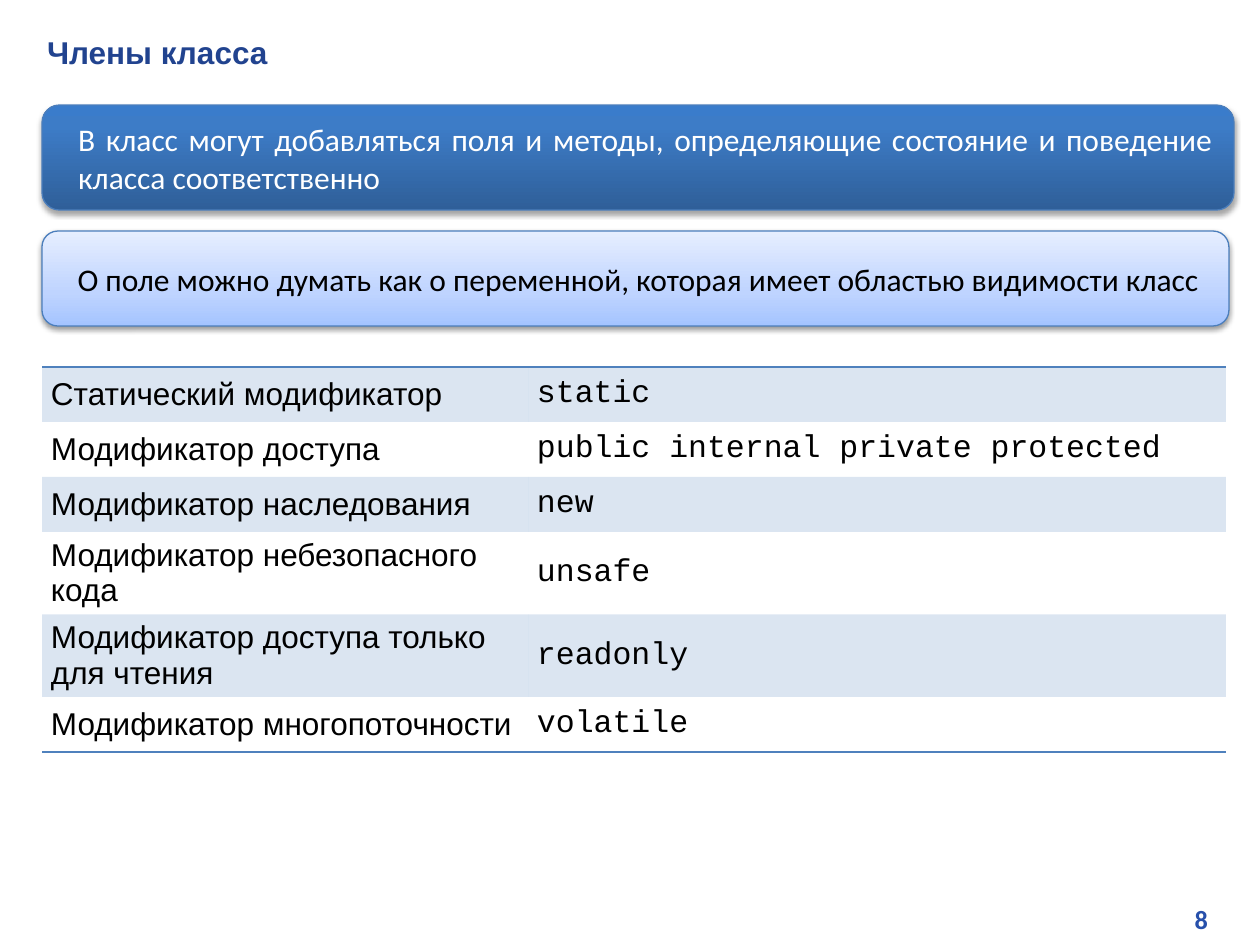
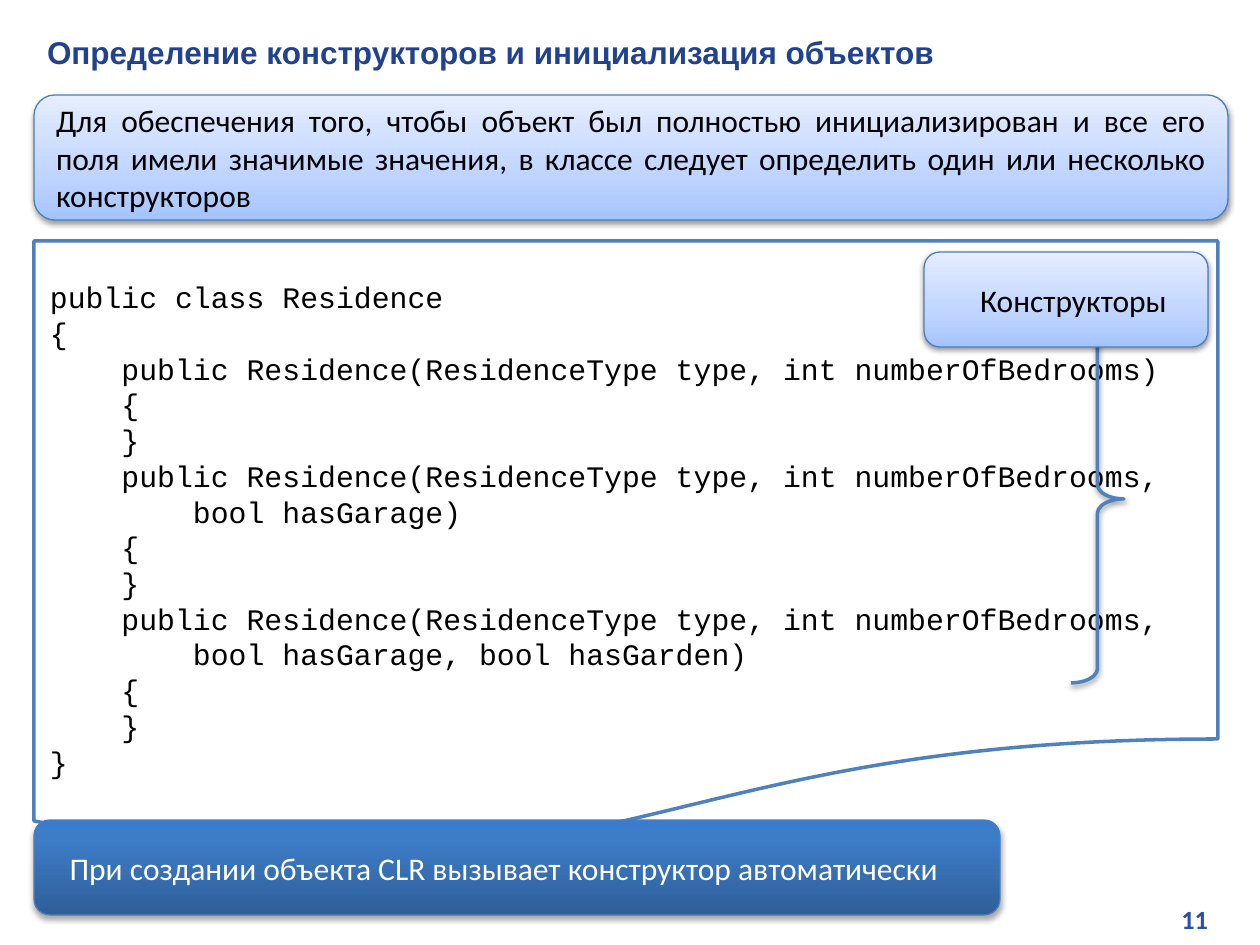
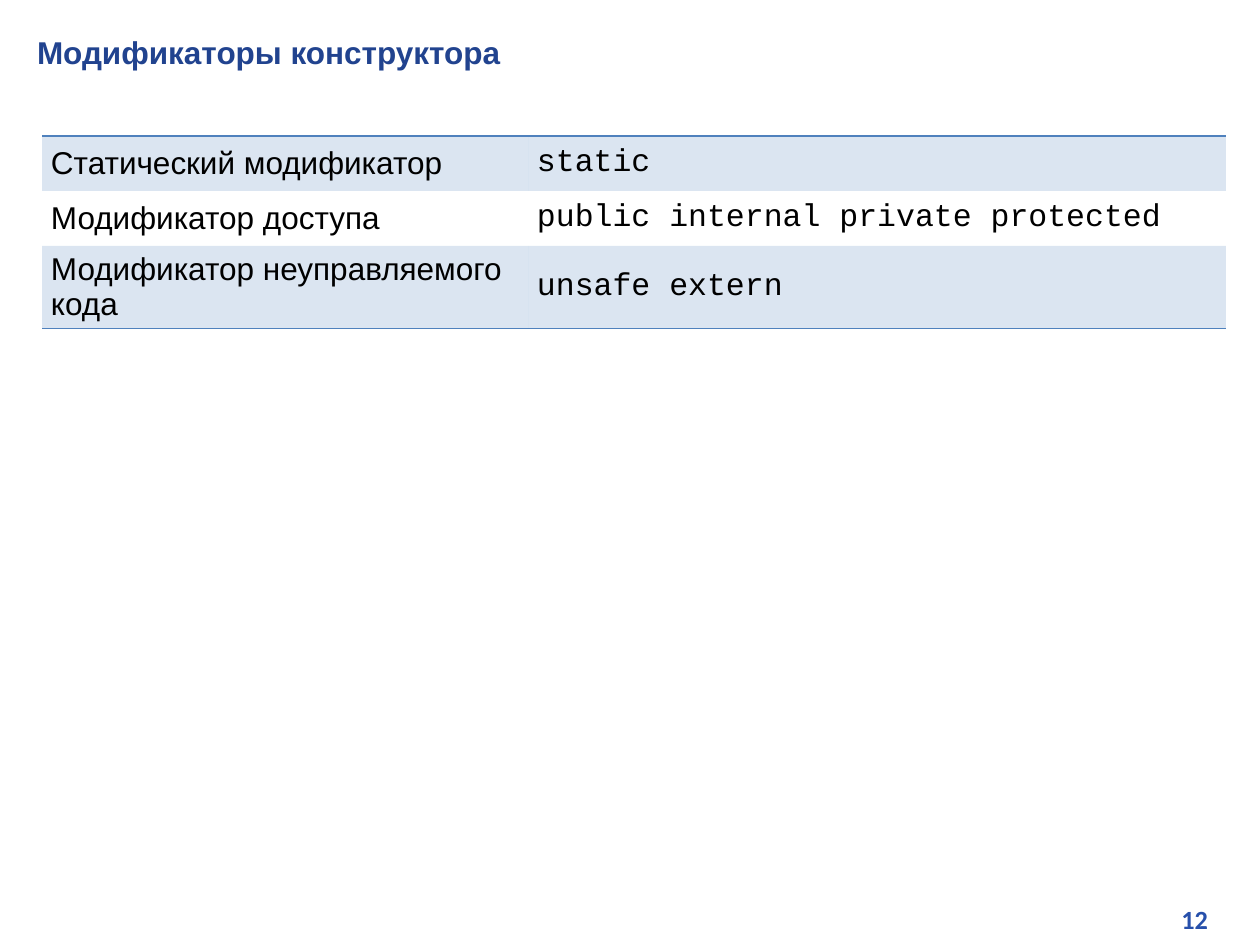
from lxml.etree import SubElement
from pptx import Presentation
from pptx.dml.color import RGBColor
from pptx.enum.shapes import MSO_SHAPE
from pptx.enum.text import MSO_ANCHOR, MSO_AUTO_SIZE, PP_ALIGN
from pptx.oxml.ns import qn
from pptx.util import Emu, Pt

SLIDE_W, SLIDE_H = 1260, 945
TITLE_COLOR, NUMBER_COLOR = "21438F", "2750AB"
ACCENT, BOX_LINE, BLACK, WHITE = "4F81BD", "4B7EBC", "000000", "FFFFFF"
HEADING, BODY, MONO = "Arial", "Calibri", "Courier New"
NO_TABLE_STYLE = "{2D5ABB26-0587-4C30-8999-92F81FD0307C}"

# Gradient stops run from the bottom edge up; shadow is (opacity %, distance pt).
DARK = {"stops": [(0, "2F5F99"), (80, "3D7CC7"), (100, "3A7CCB")],
        "text": WHITE, "shadow": (35, 1.8)}
LIGHT = {"stops": [(0, "A4C4FF"), (35, "BFD4FF"), (100, "E6EEFF")],
         "text": BLACK, "shadow": (38, 1.6)}

MEMBER_MODIFIERS = [
    ("Статический модификатор", "static"),
    ("Модификатор доступа", "public internal private protected"),
    ("Модификатор наследования", "new"),
    ("Модификатор небезопасного кода", "unsafe"),
    ("Модификатор доступа только для чтения", "readonly"),
    ("Модификатор многопоточности", "volatile"),
]
CONSTRUCTOR_MODIFIERS = MEMBER_MODIFIERS[:2] + [
    ("Модификатор неуправляемого кода", "unsafe extern"),
]
CODE = """public class Residence
{
    public Residence(ResidenceType type, int numberOfBedrooms)
    {
    }
    public Residence(ResidenceType type, int numberOfBedrooms,
        bool hasGarage)
    {
    }
    public Residence(ResidenceType type, int numberOfBedrooms,
        bool hasGarage, bool hasGarden)
    {
    }
}"""


def px(n):
    return Emu(round(n * 914400 / 126))


def rgb(color):
    return RGBColor.from_string(color)


def place(sp, box):
    sp.left, sp.top, sp.width, sp.height = map(px, box)


def write(tf, text, font, size, color, bold=False, align=PP_ALIGN.LEFT, indent=0):
    tf.text = text
    for p in tf.paragraphs:
        p.alignment = align
        if indent:
            p._p.get_or_add_pPr().set("marL", str(px(indent)))
        for r in p.runs:
            r.font.name, r.font.size, r.font.bold = font, Pt(size), bold
            r.font.color.rgb = rgb(color)


def set_frame(tf, anchor, top=8, bottom=8):
    tf.word_wrap = True
    tf.auto_size = MSO_AUTO_SIZE.NONE
    tf.vertical_anchor = anchor
    tf.margin_left = tf.margin_right = px(16)
    tf.margin_top, tf.margin_bottom = px(top), px(bottom)


def add_color(parent, color, alpha=None):
    clr = SubElement(parent, qn("a:srgbClr"), val=color)
    if alpha is not None:
        SubElement(clr, qn("a:alpha"), val=str(alpha * 1000))


def add_shadow(sp, opacity, distance):
    effects = sp._element.spPr.find(qn("a:effectLst"))
    shadow = SubElement(effects, qn("a:outerShdw"), blurRad=str(Pt(3.1)),
                        dist=str(Pt(distance)), dir="5400000", rotWithShape="0")
    add_color(shadow, BLACK, opacity)


def add_outlined(slide, kind, box, line, width):
    sp = slide.shapes.add_shape(kind, *map(px, box))
    sp.shadow.inherit = False
    sp.line.color.rgb = rgb(line)
    sp.line.width = Pt(width)
    return sp


def add_callout(slide, box, text, style, align=PP_ALIGN.JUSTIFY, indent=15):
    sp = add_outlined(slide, MSO_SHAPE.ROUNDED_RECTANGLE, box, BOX_LINE, 0.75)
    sp.fill.gradient()
    sp.fill.gradient_angle = 90
    stops = sp._element.spPr.find(qn("a:gradFill")).find(qn("a:gsLst"))
    stops.clear()
    for pos, color in style["stops"]:
        add_color(SubElement(stops, qn("a:gs"), pos=str(pos * 1000)), color)
    add_shadow(sp, *style["shadow"])
    set_frame(sp.text_frame, MSO_ANCHOR.MIDDLE)
    write(sp.text_frame, text, BODY, 18, style["text"], align=align, indent=indent)


def add_code(slide, box, code):
    sp = add_outlined(slide, MSO_SHAPE.FLOWCHART_DOCUMENT, box, ACCENT, 2)
    sp.fill.solid()
    sp.fill.fore_color.rgb = rgb(WHITE)
    set_frame(sp.text_frame, MSO_ANCHOR.TOP, top=38, bottom=0)
    write(sp.text_frame, code, MONO, 17, BLACK)


def add_brace(slide, box):
    sp = add_outlined(slide, MSO_SHAPE.RIGHT_BRACE, box, ACCENT, 2)
    sp.fill.background()
    sp.adjustments[0] = 0.27
    add_shadow(sp, *LIGHT["shadow"])


def add_border(cell, side):
    ln = SubElement(cell._tc.get_or_add_tcPr(), qn(f"a:{side}"), w=str(Pt(1)))
    add_color(SubElement(ln, qn("a:solidFill")), ACCENT)


def add_modifier_table(slide, top, rows):
    """Two-column table with tinted odd rows and rules above and below."""
    widths, row_h = (486, 698), 55
    frame = slide.shapes.add_table(len(rows), 2, px(42), px(top),
                                   px(sum(widths)), px(row_h * len(rows)))
    table = frame.table
    table.first_row = table.horz_banding = False
    table._tbl.tblPr.find(qn("a:tableStyleId")).text = NO_TABLE_STYLE
    for col, width in zip(table.columns, widths):
        col.width = px(width)
    for i, row in enumerate(rows):
        table.rows[i].height = px(row_h)
        for j, (text, font) in enumerate(zip(row, (HEADING, MONO))):
            cell = table.cell(i, j)
            cell.vertical_anchor = MSO_ANCHOR.MIDDLE
            cell.margin_left = cell.margin_right = px(9)
            cell.margin_top = cell.margin_bottom = px(6)
            if i == 0:
                add_border(cell, "lnT")
            if i == len(rows) - 1:
                add_border(cell, "lnB")
            if i % 2:
                cell.fill.background()
            else:
                cell.fill.solid()
                cell.fill.fore_color.rgb = rgb(ACCENT)
                clr = cell._tc.tcPr.find(qn("a:solidFill"))[0]
                SubElement(clr, qn("a:alpha"), val="20000")
            write(cell.text_frame, text, font, 18, BLACK)


def add_slide(prs, title, number, title_left=31):
    slide = prs.slides.add_slide(prs.slide_layouts[5])
    sp = slide.shapes.title
    place(sp, (title_left, 25, 1202, 51))
    set_frame(sp.text_frame, MSO_ANCHOR.TOP)
    write(sp.text_frame, title, HEADING, 18, TITLE_COLOR, bold=True)
    tf = slide.shapes.add_textbox(*map(px, (958, 895, 266, 48))).text_frame
    set_frame(tf, MSO_ANCHOR.TOP)
    write(tf, str(number), BODY, 15, NUMBER_COLOR, bold=True, align=PP_ALIGN.RIGHT)
    return slide


def main():
    prs = Presentation()
    prs.slide_width, prs.slide_height = px(SLIDE_W), px(SLIDE_H)

    s = add_slide(prs, "Члены класса", 8)
    add_callout(s, (42, 105, 1192, 105),
                "В класс могут добавляться поля и методы, определяющие "
                "состояние и поведение класса соответственно", DARK)
    add_callout(s, (42, 231, 1187, 95),
                "О поле можно думать как о переменной, которая имеет "
                "областью видимости класс", LIGHT)
    add_modifier_table(s, 367, MEMBER_MODIFIERS)

    s = add_slide(prs, "Определение конструкторов и инициализация объектов", 11)
    add_callout(s, (34, 95, 1194, 125),
                "Для обеспечения того, чтобы объект был полностью "
                "инициализирован и все его поля имели значимые значения, "
                "в классе следует определить один или несколько конструкторов",
                LIGHT, indent=0)
    add_code(s, (34, 241, 1184, 621), CODE)
    add_brace(s, (1071, 315, 53, 368))
    add_callout(s, (924, 252, 284, 95), "Конструкторы", LIGHT, PP_ALIGN.CENTER)
    add_callout(s, (34, 820, 966, 95),
                "При создании объекта CLR вызывает конструктор автоматически", DARK)

    s = add_slide(prs, "Модификаторы конструктора", 12, title_left=21)
    add_modifier_table(s, 136, CONSTRUCTOR_MODIFIERS)

    prs.save("out.pptx")


if __name__ == "__main__":
    main()
